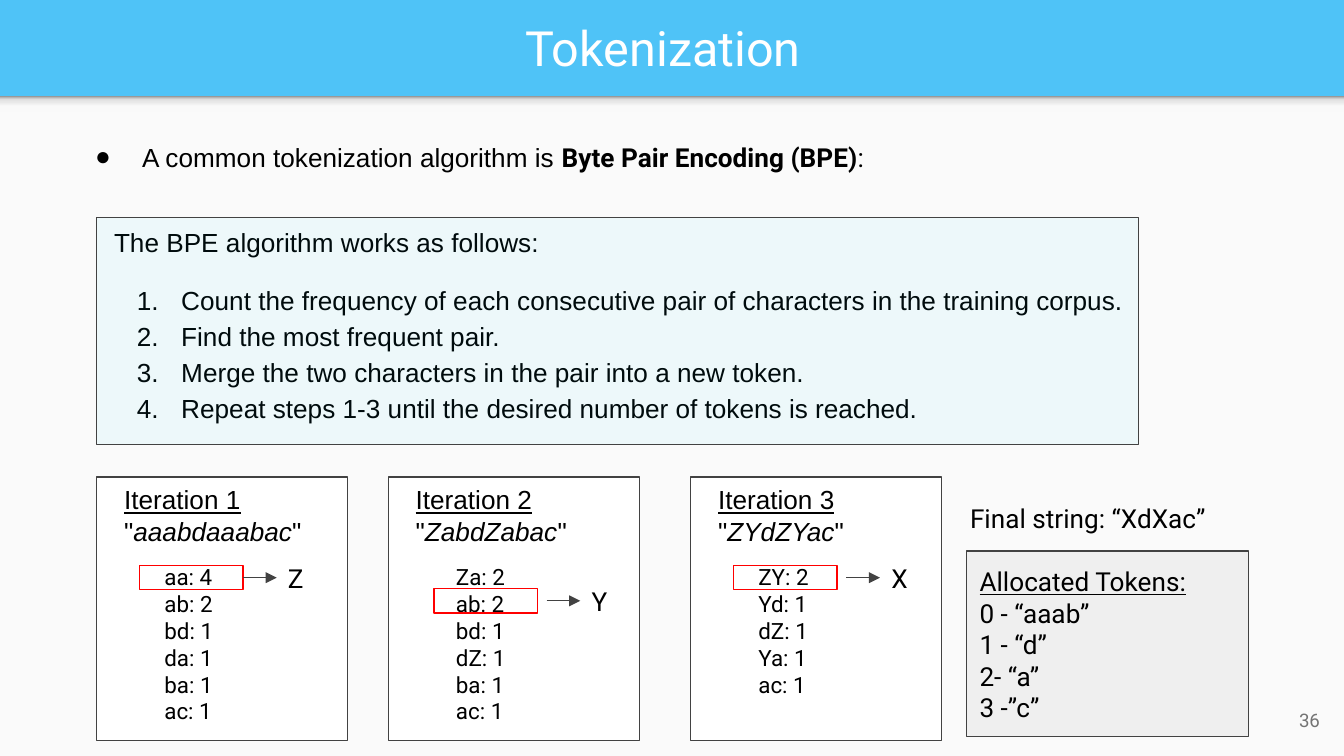
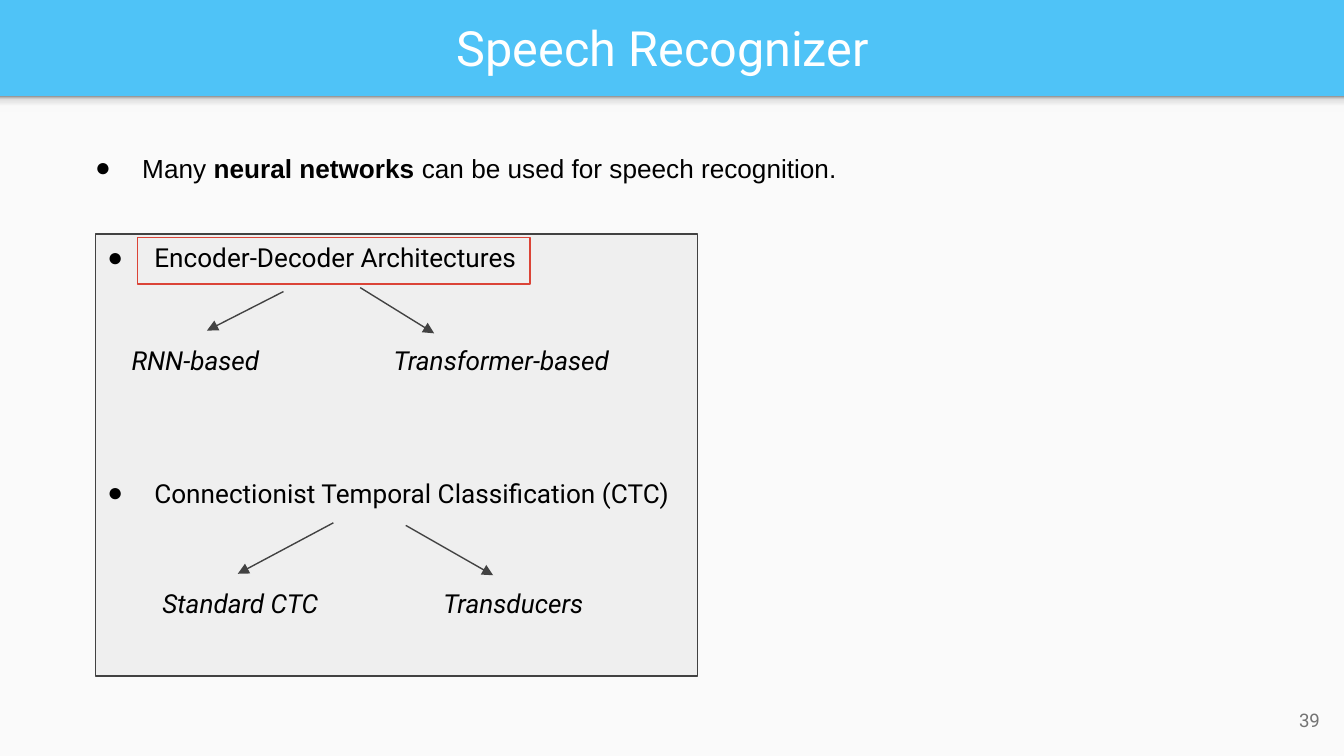
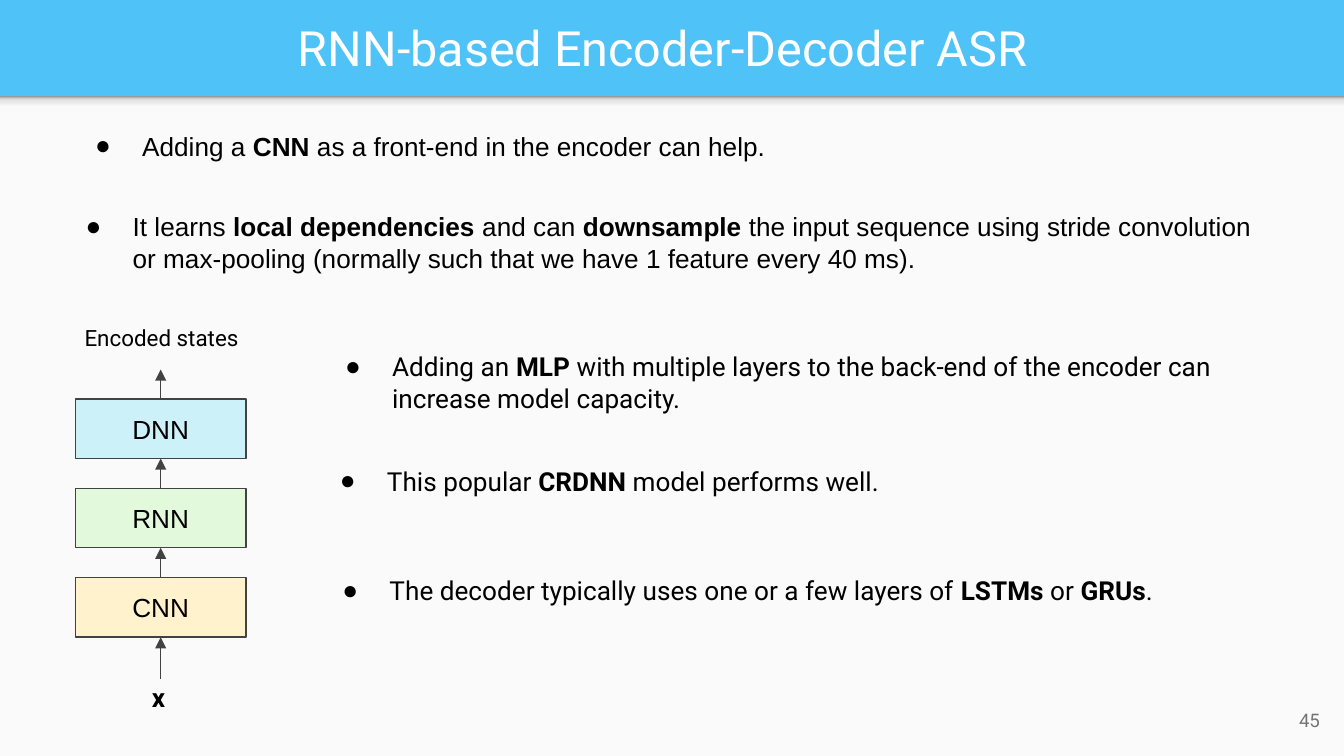
from lxml.etree import SubElement
from pptx import Presentation
from pptx.dml.color import RGBColor
from pptx.enum.shapes import MSO_CONNECTOR, MSO_SHAPE
from pptx.enum.text import MSO_ANCHOR, PP_ALIGN
from pptx.oxml.ns import qn
from pptx.util import Pt

COLORS = {
    "band": "4FC3F7", "body": "FAFAFA", "title": "FFFFFF", "text": "000000",
    "number": "737373", "outline": "424242", "panel": "EFEFEF", "card": "FFFFFF",
    "steps": "00E0FF", "highlight": "FF0000", "choice": "DB4437",
    "cnn": "FFF2CC", "rnn": "E3F9DB", "dnn": "29D2F5",
}
SHADE_STOPS = [(0, "F9F9F9"), (36, "F9F9F9"), (80, "DEDEDE"), (100, "999999")]
WIDTH, HEIGHT, BAND_HEIGHT = 720, 405, 51.5
INSET = 7.2

# Content: a paragraph is a string or a list of (text, style[, font]) runs,
# where style holds b, i or u. Places are (left, top, width, height).
BPE_BULLET = [("A common tokenization algorithm is ", ""),
              ("Byte Pair Encoding (BPE)", "b", "Roboto"), (":", "", "Roboto")]
BPE_INTRO = "The BPE algorithm works as follows:"
BPE_STEPS = [
    "Count the frequency of each consecutive pair of characters in the training corpus.",
    "Find the most frequent pair.",
    "Merge the two characters in the pair into a new token.",
    "Repeat steps 1-3 until the desired number of tokens is reached.",
]
# left, string, pair counts, merged row, highlight offset, arrow gap, new token
ITERATIONS = [
    (51.8, "aaabdaaabac", ["aa: 4", "ab: 2", "bd: 1", "da: 1", "ba: 1", "ac: 1"], 0, 23, 0, "Z"),
    (208, "ZabdZabac", ["Za: 2", "ab: 2", "bd: 1", "dZ: 1", "ba: 1", "ac: 1"], 1, 24.5, 5, "Y"),
    (370, "ZYdZYac", ["ZY: 2", "Yd: 1", "dZ: 1", "Ya: 1", "ac: 1"], 0, 23, 5, "X"),
]
FINAL_STRING = "Final string: “XdXac”"
TOKENS = [[("Allocated Tokens:", "u")], "0 - “aaab”", "1 - “d”", "2- “a”", "3 -”c”"]

NETWORKS_BULLET = [("Many ", ""), ("neural networks", "b"),
                   (" can be used for speech recognition.", "")]
# bullet place and text, variants as (left, top, width, text), arrows as end points
FAMILIES = [
    ((39.6, 122.4, 258.5, 31.7), "Encoder-Decoder Architectures",
     [(63.4, 177.1, 95.8, "RNN-based"), (203.8, 177.1, 155.5, "Transformer-based")],
     [(151.9, 156.2, 110.9, 177.1), (193, 154.1, 232.6, 178.6)]),
    ((39.6, 248.4, 374.4, 31.7), "Connectionist Temporal Classification (CTC)",
     [(79.9, 307.4, 184.3, "Standard CTC"), (230.4, 307.4, 155.5, "Transducers")],
     [(178.6, 280.1, 127.4, 307.4), (217.4, 281.5, 264.2, 308.2)]),
]

# place, font, line spacing, runs
CRDNN_BULLETS = [
    ((33.1, 62.6, 407.5, 31.7), "Arial", None,
     [("Adding a ", ""), ("CNN", "b"), (" as a front-end in the encoder can help.", "")]),
    ((28, 105.8, 663.8, 48.2), "Arial", None,
     [("It learns", ""), (" local dependencies", "b"), (" and can ", ""), ("downsample", "b"),
      (" the input sequence using stride convolution or max-pooling "
       "(normally such that we have 1 feature every 40 ms).", "")]),
    ((167, 180.7, 509, 48.2), "Roboto", None,
     [("Adding an ", ""), ("MLP", "b"),
      (" with multiple layers to the back-end of the encoder can increase model capacity.", "")]),
    ((164.2, 241.9, 514.8, 31.7), "Roboto", None,
     [("This popular ", ""), ("CRDNN", "b"), (" model performs well.", "")]),
    ((165.6, 298.1, 522.7, 31.7), "Roboto", 1.15,
     [("The decoder typically uses one or a few layers of", ""), (" LSTMs", "b"),
      (" or ", ""), ("GRUs", "b"), (".", "")]),
]
# bottom to top: label, colour, opacity
ENCODER_BLOCKS = [("CNN", "cnn", 100), ("RNN", "rnn", 100), ("DNN", "dnn", 21)]


# Drawing helpers
def points(values):
    return [Pt(value) for value in values]


def rgb(name):
    return RGBColor.from_string(COLORS[name])


def add_runs(para, runs, font, size, color):
    for text, style, *face in ([(runs, "")] if isinstance(runs, str) else runs):
        span = para.add_run()
        span.text = text
        span.font.name = face[0] if face else font
        span.font.size = Pt(size)
        span.font.color.rgb = rgb(color)
        span.font.bold = "b" in style
        span.font.italic = "i" in style
        span.font.underline = "u" in style


def add_bullet(para, indent=25.2, numbered=False):
    properties = para._p.get_or_add_pPr()
    properties.set("marL", str(Pt(36)))
    properties.set("indent", str(-Pt(indent)))
    tint = SubElement(properties, qn("a:buClr"))
    SubElement(tint, qn("a:srgbClr"), val=COLORS["text"])
    SubElement(properties, qn("a:buFont"), typeface="Arial")
    if numbered:
        SubElement(properties, qn("a:buAutoNum"), type="arabicPeriod")
    else:
        SubElement(properties, qn("a:buChar"), char="●")


def fill_text(box, paragraphs, font="Roboto", size=14, color="text",
              align=PP_ALIGN.LEFT, anchor=MSO_ANCHOR.TOP):
    frame = box.text_frame
    frame.word_wrap = True
    frame.vertical_anchor = anchor
    frame.margin_left = frame.margin_right = Pt(INSET)
    frame.margin_top = frame.margin_bottom = Pt(INSET)
    for index, runs in enumerate(paragraphs):
        para = frame.add_paragraph() if index else frame.paragraphs[0]
        para.alignment = align
        add_runs(para, runs, font, size, color)
    return frame.paragraphs


def add_text(page, place, paragraphs, **options):
    return fill_text(page.shapes.add_textbox(*points(place)), paragraphs, **options)


def add_bullet_text(page, place, runs, font="Roboto", spacing=None):
    para = add_text(page, place, [runs], font=font)[0]
    add_bullet(para)
    para.line_spacing = spacing


def add_rectangle(page, place, fill=None, line="outline", opacity=100):
    box = page.shapes.add_shape(MSO_SHAPE.RECTANGLE, *points(place))
    box.shadow.inherit = False
    if fill:
        box.fill.solid()
        box.fill.fore_color.rgb = rgb(fill)
        if opacity < 100:
            tint = box._element.spPr.find(qn("a:solidFill")).find(qn("a:srgbClr"))
            SubElement(tint, qn("a:alpha"), val=str(opacity * 1000))
    else:
        box.fill.background()
    if line:
        box.line.color.rgb = rgb(line)
        box.line.width = Pt(0.75)
    else:
        box.line.fill.background()
    return box


def add_arrow(page, ends):
    arrow = page.shapes.add_connector(MSO_CONNECTOR.STRAIGHT, *points(ends))
    arrow.line.color.rgb = rgb("outline")
    arrow.line.width = Pt(0.75)
    SubElement(arrow.line._get_or_add_ln(), qn("a:tailEnd"), type="triangle")
    SubElement(arrow._element.spPr, qn("a:effectLst"))
    return arrow


def add_band_shade(page):
    shade = add_rectangle(page, (0, BAND_HEIGHT, WIDTH, 8.6), line=None)
    shade.fill.gradient()
    shade.fill.gradient_angle = 90
    stops = shade._element.spPr.find(qn("a:gradFill")).find(qn("a:gsLst"))
    for stop in list(stops):
        stops.remove(stop)
    for position, color in SHADE_STOPS:
        stop = SubElement(stops, qn("a:gs"), pos=str(position * 1000))
        SubElement(stop, qn("a:srgbClr"), val=color)


def add_page(deck, title, number):
    page = deck.slides.add_slide(deck.slide_layouts[6])
    page.background.fill.solid()
    page.background.fill.fore_color.rgb = rgb("band")
    add_rectangle(page, (0, BAND_HEIGHT, WIDTH, HEIGHT - BAND_HEIGHT), "body", None)
    add_band_shade(page)
    add_text(page, (7.9, 1.4, 694.8, 47.5), [title], size=26, color="title",
             align=PP_ALIGN.CENTER, anchor=MSO_ANCHOR.MIDDLE)
    add_text(page, (671, 370, 43.2, 31), [str(number)], size=10, color="number",
             align=PP_ALIGN.RIGHT, anchor=MSO_ANCHOR.MIDDLE)
    return page


# Slides
def add_iteration(page, number, left, string, counts, row, offset, gap, token):
    add_rectangle(page, (left, 255.6, 134.6, 141.1), "card")
    add_text(page, (left + 7.6, 252, 139, 82),
             [[(f"Iteration {number}", "u")], [('"', ""), (string, "i"), ('"', "")]],
             font="Arial")
    add_text(page, (left + 29.2, 294.5, 62.6, 101.5), counts, size=12)
    top, width, height = 303 + 12.4 * row, 55.4, 13
    highlight = add_rectangle(page, (left + offset, top, width, height), line="highlight")
    start, middle = left + offset + width + gap, top + height / 2
    arrow = add_arrow(page, (start, middle, start + 18, middle))
    if not gap:
        arrow.begin_connect(highlight, 3)
    add_text(page, (start + 17, top - 9, 38.9, 31.7), [token])


def add_tokenization(deck):
    page = add_page(deck, "Tokenization", 36)
    add_bullet_text(page, (33.1, 68.4, 461.5, 31.7), BPE_BULLET, font="Arial")
    _, *steps = add_text(page, (54, 113.8, 608.4, 118.8), [BPE_INTRO] + BPE_STEPS, font="Arial")
    for step in steps:
        add_bullet(step, indent=23.8, numbered=True)
        step.line_spacing = 1.15
    steps[0].space_before = Pt(12)
    add_rectangle(page, (51.8, 116.6, 558, 121.7), "steps", opacity=5)
    for number, iteration in enumerate(ITERATIONS, 1):
        add_iteration(page, number, *iteration)
    add_text(page, (512.6, 262.1, 200.9, 31.7), [FINAL_STRING])
    add_rectangle(page, (517.7, 295.2, 151.2, 99.4), "panel")
    add_text(page, (517.7, 295.9, 154.1, 99.4), TOKENS)


def add_recognizer(deck):
    page = add_page(deck, "Speech Recognizer", 39)
    add_bullet_text(page, (33.1, 74.2, 648.7, 31.7), NETWORKS_BULLET, font="Arial")
    add_rectangle(page, (51.1, 125.3, 322.6, 236.9), "panel")
    for place, name, variants, arrows in FAMILIES:
        add_bullet_text(page, place, name)
        for left, top, width, variant in variants:
            add_text(page, (left, top, width, 31.7), [[(variant, "i")]])
        for ends in arrows:
            add_arrow(page, ends)
    add_rectangle(page, (73.6, 127.4, 210.4, 24.8), line="choice")


def add_crdnn(deck):
    page = add_page(deck, "RNN-based Encoder-Decoder ASR", 45)
    for place, font, spacing, runs in CRDNN_BULLETS:
        add_bullet_text(page, place, runs, font, spacing)

    # Encoder stack, built upwards from the input
    left, bottom_top, width, height, step = 40.4, 309.5, 91.4, 31.9, 47.9
    center = left + width / 2
    add_text(page, (74.2, 357.8, 39.6, 31.7), [[("x", "b")]])
    below = None
    for index, (label, color, opacity) in enumerate(ENCODER_BLOCKS):
        top = bottom_top - index * step
        block = add_rectangle(page, (left, top, width, height), color, opacity=opacity)
        fill_text(block, [label], font="Arial", align=PP_ALIGN.CENTER, anchor=MSO_ANCHOR.MIDDLE)
        arrow = add_arrow(page, (center, 363.6, center, top + height))
        if below:
            arrow.begin_connect(below, 0)
        arrow.end_connect(block, 2)
        below = block
    add_arrow(page, (center, top, center, 198)).begin_connect(below, 0)
    add_text(page, (38.2, 166.3, 121.7, 28.8), ["Encoded states"], size=12)


def main():
    deck = Presentation()
    deck.slide_width, deck.slide_height = points((WIDTH, HEIGHT))
    add_tokenization(deck)
    add_recognizer(deck)
    add_crdnn(deck)
    deck.save("out.pptx")


if __name__ == "__main__":
    main()
